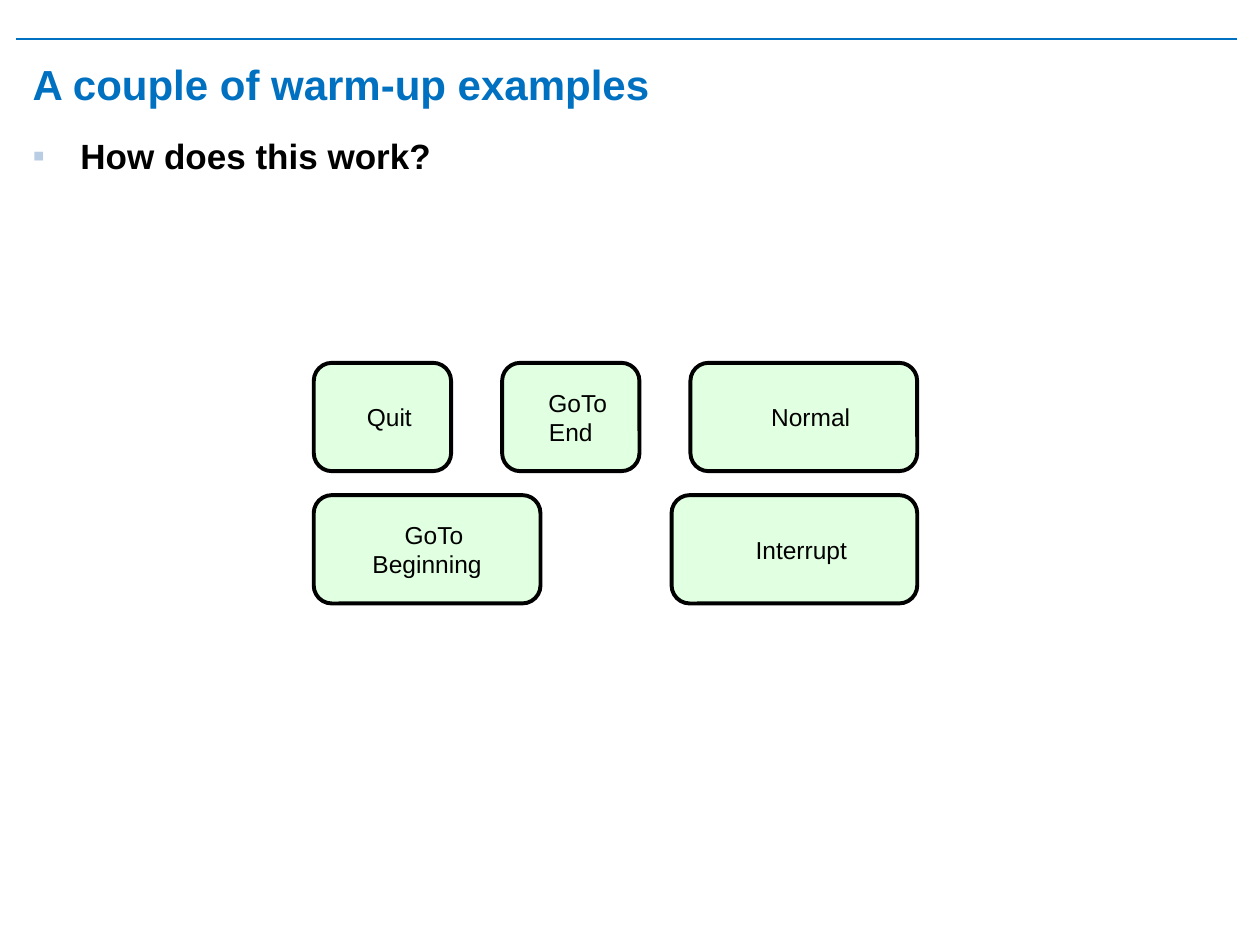
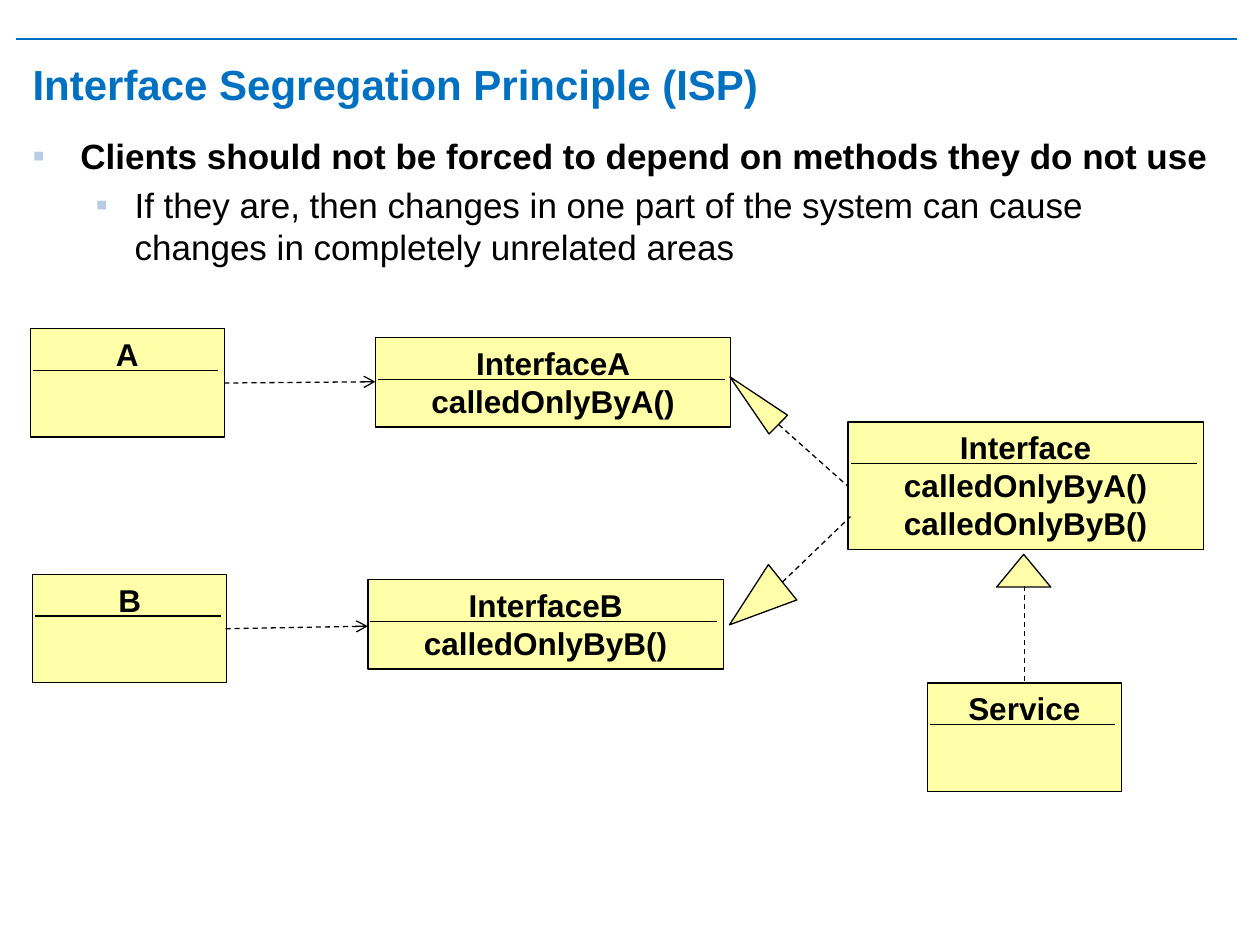
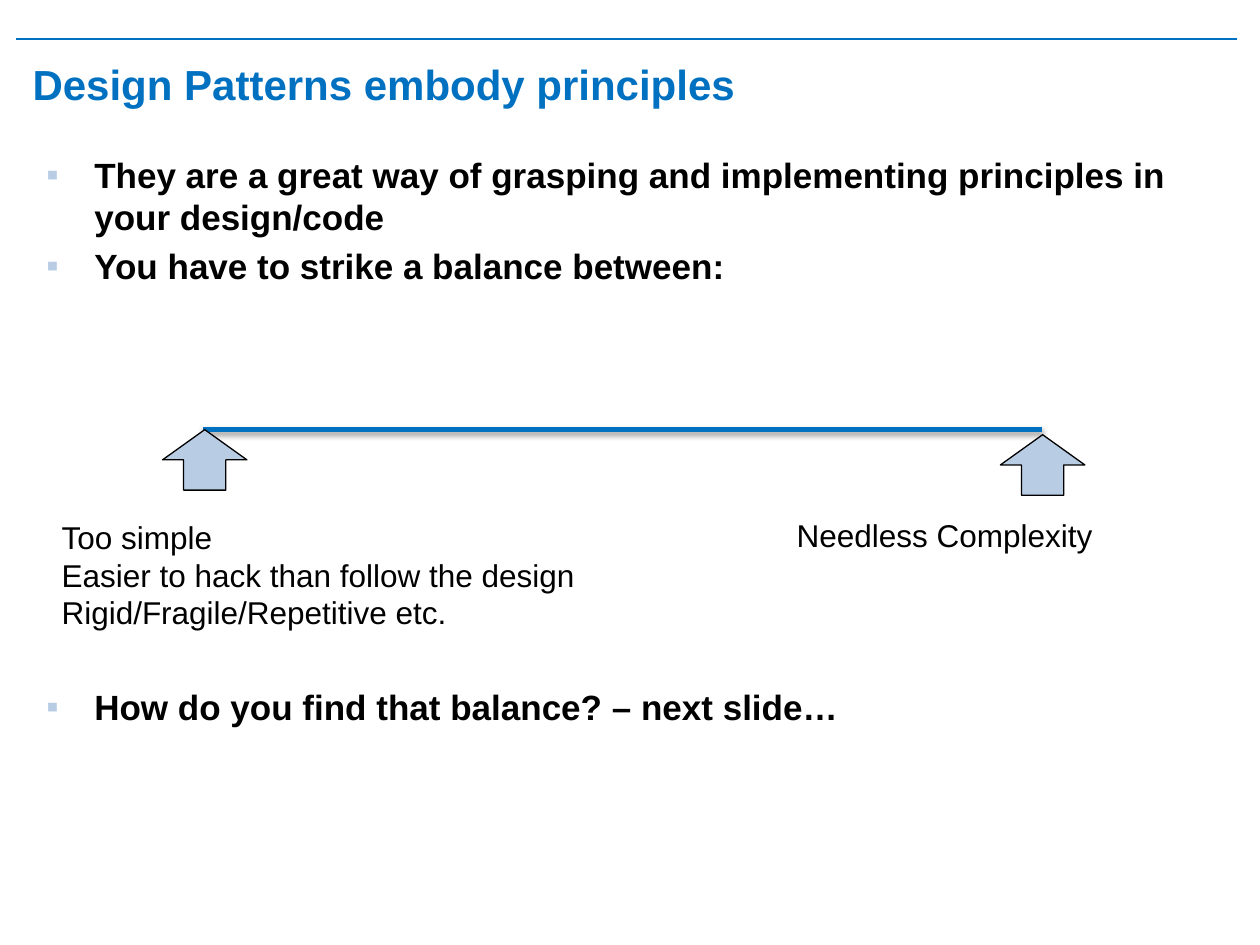
from lxml.etree import SubElement
from pptx import Presentation
from pptx.dml.color import RGBColor
from pptx.enum.dml import MSO_LINE_DASH_STYLE as Dash
from pptx.enum.shapes import MSO_CONNECTOR_TYPE as Connector, MSO_SHAPE as Shape
from pptx.enum.text import MSO_ANCHOR as Anchor, PP_ALIGN as Align
from pptx.oxml.ns import qn
from pptx.util import Inches, Pt

# Shared look; the grid has 100 columns and 75 rows
WIDTH, HEIGHT = Inches(10), Inches(7.5)
COLUMN, ROW = WIDTH / 100, HEIGHT / 75
FONT = "Arial"
BLUE, PALE_BLUE, BLACK = "0070C0", "B8CCE4", "000000"
GREEN, YELLOW = "E1FFE1", "FFFFAA"
INDENTS = [(3.8, -3.8), (8.1, -3.1)]  # bullet margin and hang, by level


def color(hex_text):
    return RGBColor.from_string(hex_text)


def cols(count):
    return round(count * COLUMN)


def place(left, top, width, height):
    return cols(left), round(top * ROW), cols(width), round(height * ROW)


# Text
def add_span(para, text, size, bold=False, tint=BLACK):
    span = para.add_run()
    span.text = text
    span.font.name = FONT
    span.font.size = Pt(size)
    span.font.bold = bold
    span.font.color.rgb = color(tint)


def add_lines(para, lines, size, bold=False):
    for number, line in enumerate(lines):
        if number:
            para.add_line_break()
        add_span(para, line, size, bold)


def set_indent(para, margin, first):
    props = para._p.get_or_add_pPr()
    props.set("marL", str(cols(margin)))
    props.set("indent", str(cols(first)))
    return props


def add_text_frame(page, area, wrap=True):
    frame = page.shapes.add_textbox(*place(*area)).text_frame
    frame.word_wrap = wrap
    return frame


def add_bullets(page, area, items):
    """Each item holds level, text and space before in points."""
    frame = add_text_frame(page, area)
    for number, (level, text, gap) in enumerate(items):
        para = frame.add_paragraph() if number else frame.paragraphs[0]
        para.level = level
        para.space_before = Pt(gap)
        props = set_indent(para, *INDENTS[level])
        tint = SubElement(props, qn("a:buClr"))
        SubElement(tint, qn("a:srgbClr"), val=PALE_BLUE)
        SubElement(props, qn("a:buFont"), typeface=FONT)
        SubElement(props, qn("a:buChar"), char="▪")
        add_span(para, text, 20, bold=level == 0)


def add_label(page, area, lines, align=Align.LEFT):
    para = add_text_frame(page, area, wrap=False).paragraphs[0]
    para.alignment = align
    add_lines(para, lines, 18)


# Shapes and lines
def add_box(page, kind, area, fill, weight=0.75, turn=0):
    box = page.shapes.add_shape(kind, *place(*area))
    box.shadow.inherit = False
    box.fill.solid()
    box.fill.fore_color.rgb = color(fill)
    box.line.color.rgb = color(BLACK)
    box.line.width = Pt(weight)
    box.rotation = turn
    return box


def add_line(page, start, end, tint=BLACK, weight=0.75, dashed=False, arrow=False):
    line = page.shapes.add_connector(
        Connector.STRAIGHT, *place(*start, *end))
    line.line.color.rgb = color(tint)
    line.line.width = Pt(weight)
    if dashed:
        line.line.dash_style = Dash.DASH
    if arrow:
        SubElement(line.line._get_or_add_ln(), qn("a:tailEnd"), type="arrow")
    return SubElement(line._element.spPr, qn("a:effectLst"))


def add_shadow(effects):
    shadow = SubElement(effects, qn("a:outerShdw"), blurRad=str(Pt(3.1)),
                        dist=str(Pt(1.8)), dir="5400000", rotWithShape="0")
    tint = SubElement(shadow, qn("a:srgbClr"), val=BLACK)
    SubElement(tint, qn("a:alpha"), val="35000")


def add_page(deck, title):
    page = deck.slides.add_slide(deck.slide_layouts[6])
    add_line(page, (1.3, 3.1), (98.2, 3.1), BLUE)
    frame = add_text_frame(page, (1.6, 3.9, 96.1, 5.5))
    frame.vertical_anchor = Anchor.MIDDLE
    add_span(frame.paragraphs[0], title, 24, True, BLUE)
    return page


# Slide 1: keys spread evenly between two edges
def add_key_row(page, top, keys, left=24.9, right=72.8):
    spare = right - left - sum(width for width, _ in keys)
    gap = spare / (len(keys) - 1)
    for width, lines in keys:
        key = add_box(page, Shape.ROUNDED_RECTANGLE, (left, top, width, 8.6), GREEN, 2.25)
        frame = key.text_frame
        frame.margin_left = frame.margin_right = 0
        frame.margin_top = frame.margin_bottom = 0
        frame.vertical_anchor = Anchor.MIDDLE
        para = frame.paragraphs[0]
        para.alignment = Align.CENTER
        set_indent(para, 0, 1.1)
        add_lines(para, lines, 14)
        left += width + gap


def build_examples(deck):
    page = add_page(deck, "A couple of warm-up examples")
    add_bullets(page, (1.6, 10.2, 96.1, 57), [(0, "How does this work?", 4)])
    add_key_row(page, 28.8, [(10.9, ["Quit"]), (10.9, ["GoTo", "End"]), (18, ["Normal"])])
    add_key_row(page, 39.3, [(18, ["GoTo", "Beginning"]), (19.5, ["Interrupt"])])


# Slide 2: class diagram
def add_class(page, left, top, width, height, *lines):
    box = add_box(page, Shape.RECTANGLE, (left, top, width, height), YELLOW)
    box.text_frame.vertical_anchor = Anchor.TOP
    para = box.text_frame.paragraphs[0]
    para.alignment = Align.CENTER
    add_lines(para, lines, 18, bold=True)
    rule = top + 3.3
    add_line(page, (left + 0.2, rule), (left + width - 0.5, rule))


def build_segregation(deck):
    page = add_page(deck, "Interface Segregation Principle (ISP)")
    add_bullets(page, (1.6, 10.2, 96.1, 57), [
        (0, "Clients should not be forced to depend on methods they do not use", 4),
        (1, "If they are, then changes in one part of the system can cause "
            "changes in completely unrelated areas", 4),
    ])
    # Plain classes, then interfaces
    for name, left, top in [("A", 2.4, 26.1), ("B", 2.6, 45.6), ("Service", 73.6, 54.2)]:
        add_class(page, left, top, 15.4, 8.6, name)
    call_a, call_b = "calledOnlyByA()", "calledOnlyByB()"
    add_class(page, 29.8, 26.8, 28.2, 7.1, "InterfaceA", call_a)
    add_class(page, 29.2, 46, 28.2, 7.1, "InterfaceB", call_b)
    add_class(page, 67.3, 33.5, 28.2, 10.1, "Interface", call_a, call_b)
    # Uses
    add_line(page, (17.8, 30.4), (29.8, 30.3), dashed=True, arrow=True)
    add_line(page, (17.9, 49.9), (29.2, 49.7), dashed=True, arrow=True)
    # Realizations: triangle area, its turn, dashed line
    for area, turn, start, end in [
        ((58.8, 29.1, 2.1, 5.4), 314.6, (61.8, 33.7), (67.3, 38.6)),
        ((58.2, 45.2, 3.6, 5.4), 231.3, (62.1, 46.2), (67.5, 41)),
        ((79.1, 44, 4.3, 2.6), 0, (81.3, 46.5), (81.3, 54.2)),
    ]:
        add_box(page, Shape.ISOSCELES_TRIANGLE, area, YELLOW, turn=turn)
        add_line(page, start, end, dashed=True)


# Slide 3: balance beam
def build_balance(deck):
    page = add_page(deck, "Design Patterns embody principles")
    add_bullets(page, (2.7, 11.7, 95.2, 56.2), [
        (0, "They are a great way of grasping and implementing principles in "
            "your design/code", 4),
        (0, "You have to strike a balance between:", 4),
        (0, "How do you find that balance? – next slide…", 228),
    ])
    add_shadow(add_line(page, (16.1, 34.1), (82.7, 34.1), BLUE, 3))
    for left, top in [(79.4, 34.5), (12.9, 34.1)]:
        add_box(page, Shape.UP_ARROW, (left, top, 6.7, 4.8), PALE_BLUE)
    add_label(page, (3.9, 40.6, 43.1, 10.1), [
        "Too simple",
        "Easier to hack than follow the design",
        "Rigid/Fragile/Repetitive etc.",
    ])
    add_label(page, (62, 40.5, 25.7, 4), ["Needless Complexity"], Align.RIGHT)


def main():
    deck = Presentation()
    deck.slide_width, deck.slide_height = WIDTH, HEIGHT
    build_examples(deck)
    build_segregation(deck)
    build_balance(deck)
    deck.save("out.pptx")


if __name__ == "__main__":
    main()
